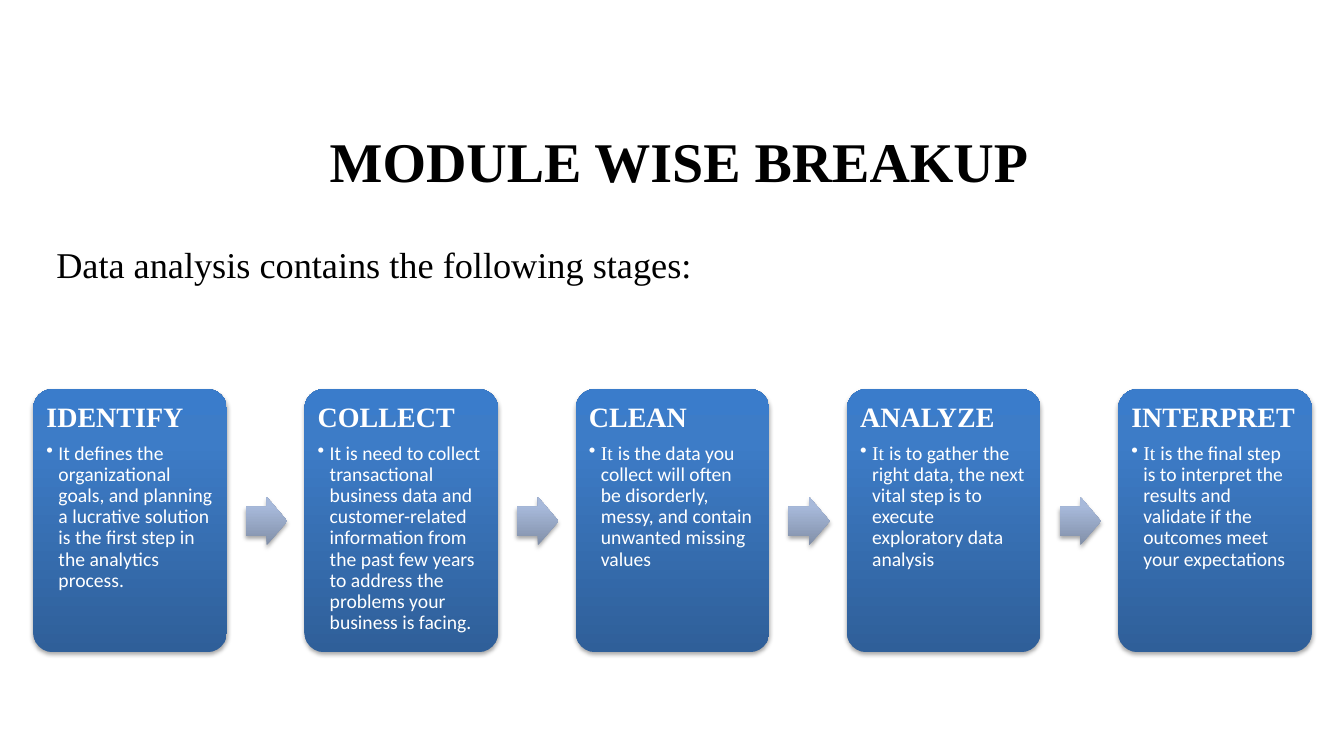
import copy

import pptx
import pptx.dml.color
import pptx.enum.shapes
import pptx.enum.text
import pptx.oxml
import pptx.oxml.ns
import pptx.util

Inches = pptx.util.Inches
Pt = pptx.util.Pt
RGBColor = pptx.dml.color.RGBColor
Shape = pptx.enum.shapes.MSO_SHAPE
Align = pptx.enum.text.PP_ALIGN
Anchor = pptx.enum.text.MSO_ANCHOR
qn = pptx.oxml.ns.qn

BLACK = RGBColor(0x00, 0x00, 0x00)
WHITE = RGBColor(0xFF, 0xFF, 0xFF)
CARD_STOPS = [
    (0, RGBColor(0x2F, 0x5F, 0x99)),
    (0.8, RGBColor(0x3D, 0x7C, 0xC7)),
    (1, RGBColor(0x3A, 0x7C, 0xCB)),
]
ARROW_STOPS = [
    (0, RGBColor(0x81, 0x8F, 0xA8)),
    (0.8, RGBColor(0xA7, 0xB9, 0xDA)),
    (1, RGBColor(0xA7, 0xBA, 0xDC)),
]
SHADOW = (
    '<a:effectLst xmlns:a="http://schemas.openxmlformats.org/drawingml/2006/main">'
    '<a:outerShdw blurRad="39370" dist="22860" dir="5400000" rotWithShape="0">'
    '<a:srgbClr val="000000"><a:alpha val="35000"/></a:srgbClr>'
    '</a:outerShdw></a:effectLst>'
)
SERIF = "Times New Roman"
SANS = "Calibri"
STAGES = [
    ("IDENTIFY", [(
        "It defines the organizational goals, and planning a lucrative solution "
        "is the first step in the analytics process.", SANS)]),
    ("COLLECT", [(
        "It is need to collect transactional business data and customer-related "
        "information from the past few years to address the problems your "
        "business is facing.", SANS)]),
    ("CLEAN", [("It ", SERIF), (
        "is the data you collect will often be disorderly, messy, and contain "
        "unwanted missing values", SANS)]),
    ("ANALYZE", [("It ", SERIF), (
        "is to gather the right data, the next vital step is to execute "
        "exploratory data analysis", SANS)]),
    ("INTERPRET", [("It ", SERIF), (
        "is the final step is to interpret the results and validate if the "
        "outcomes meet your expectations", SANS)]),
]
CARD_LEFT, CARD_TOP, CARD_WIDTH, CARD_HEIGHT = 0.33, 3.86, 1.92, 2.61
CARD_PITCH = 2.69
ARROW_OFFSET, ARROW_TOP = 2.11, 4.93


def write_text(para, text, font=SERIF, size=14, color=WHITE, bold=False,
               align=Align.LEFT, before=0, after=0, spacing=1.0):
    para.alignment = align
    para.space_before = Pt(before)
    para.space_after = Pt(after)
    para.line_spacing = spacing
    span = para.add_run()
    span.text = text
    span.font.name = font
    span.font.size = Pt(size)
    span.font.bold = bold
    span.font.color.rgb = color


class SlideBuilder:
    def __init__(self, deck):
        self.page = deck.slides.add_slide(deck.slide_layouts[5])

    def title(self, text, left, top, width, height):
        box = self.page.shapes.title
        box.left, box.top = Inches(left), Inches(top)
        box.width, box.height = Inches(width), Inches(height)
        box.text_frame.vertical_anchor = Anchor.MIDDLE
        write_text(box.text_frame.paragraphs[0], text, size=40, color=BLACK,
                   bold=True, align=Align.CENTER)

    def text_box(self, left, top, width, height, inset=None):
        box = self.page.shapes.add_textbox(
            Inches(left), Inches(top), Inches(width), Inches(height))
        frame = box.text_frame
        frame.word_wrap = True
        if inset is not None:
            frame.margin_left = frame.margin_right = Inches(inset)
            frame.margin_top = frame.margin_bottom = Inches(inset)
        return frame

    def gradient_shape(self, kind, left, top, width, height, adjustments, stops):
        shape = self.page.shapes.add_shape(
            kind, Inches(left), Inches(top), Inches(width), Inches(height))
        for index, value in enumerate(adjustments):
            shape.adjustments[index] = value
        shape.line.fill.background()
        shape.fill.gradient()
        shape.fill.gradient_angle = 90
        properties = shape._element.spPr
        stop_list = properties.find(qn("a:gradFill")).find(qn("a:gsLst"))
        stop_list.append(copy.deepcopy(stop_list[-1]))
        for stop, (position, color) in zip(shape.fill.gradient_stops, stops):
            stop.position = position
            stop.color.rgb = color
        properties.append(pptx.oxml.parse_xml(SHADOW))

    def bullet(self, para):
        properties = para._p.get_or_add_pPr()
        properties.set("marL", str(Inches(0.12)))
        properties.set("indent", str(-Inches(0.12)))
        mark = properties.makeelement(qn("a:buChar"), {"char": "•"})
        properties.append(mark)

    def stage(self, left, heading, parts):
        self.gradient_shape(Shape.ROUNDED_RECTANGLE, left, CARD_TOP, CARD_WIDTH,
                            CARD_HEIGHT, [0.1], CARD_STOPS)
        frame = self.text_box(left + 0.05, CARD_TOP + 0.06, 1.81, 2.5, inset=0.08)
        write_text(frame.paragraphs[0], heading, size=20, bold=True,
                   after=7, spacing=0.9)
        para = frame.add_paragraph()
        for text, font in parts:
            write_text(para, text, font=font, after=2, spacing=0.9)
        self.bullet(para)

    def arrow(self, left):
        self.gradient_shape(Shape.RIGHT_ARROW, left, ARROW_TOP, 0.41, 0.48,
                            [0.6, 0.5], ARROW_STOPS)


def main():
    deck = pptx.Presentation()
    deck.slide_width = Inches(13.33)
    deck.slide_height = Inches(7.5)
    builder = SlideBuilder(deck)
    builder.title("MODULE WISE BREAKUP", 0.46, 1.15, 12.55, 0.88)
    intro = builder.text_box(0.46, 2.35, 6.98, 0.68)
    write_text(intro.paragraphs[0], "Data analysis contains the following stages:",
               size=25.9, color=BLACK, before=5)
    for index, (heading, parts) in enumerate(STAGES):
        left = CARD_LEFT + index * CARD_PITCH
        builder.stage(left, heading, parts)
        if index < len(STAGES) - 1:
            builder.arrow(left + ARROW_OFFSET)
    deck.save("out.pptx")


if __name__ == "__main__":
    main()
